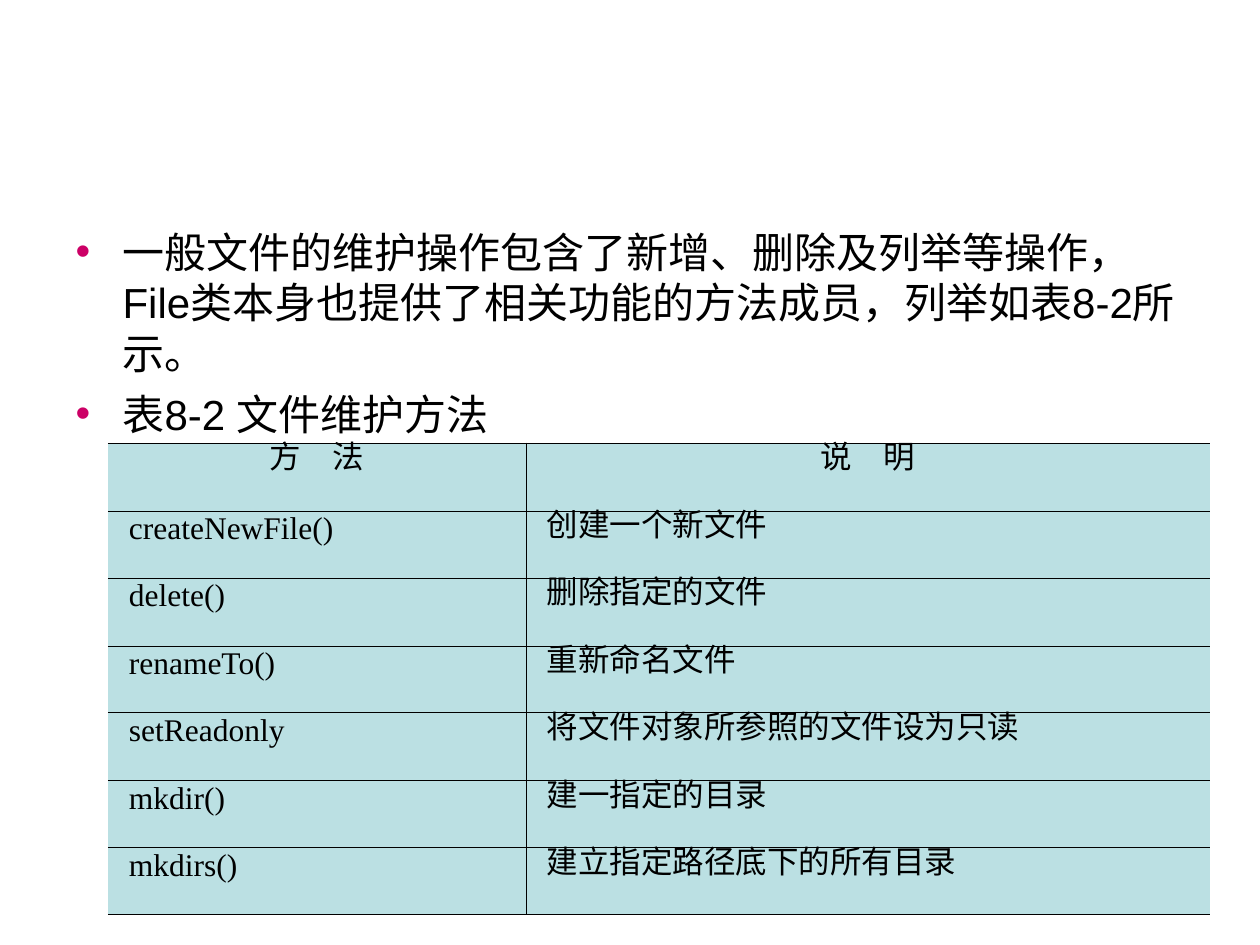
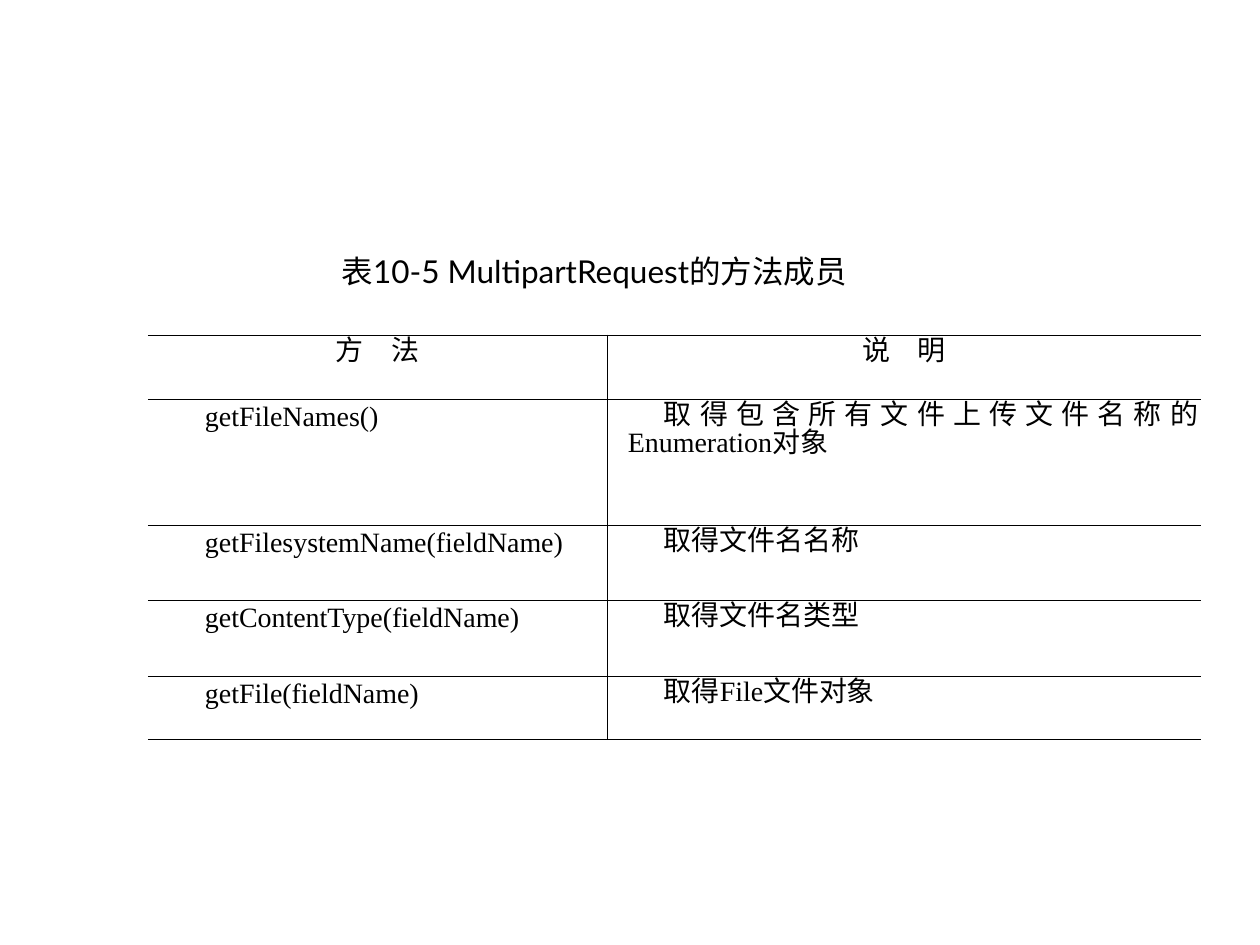
from lxml import etree
from pptx import Presentation
from pptx import util as u
from pptx.dml.color import RGBColor
from pptx.enum import text
from pptx.oxml.ns import qn

PX = u.Inches(1) / 126
BLACK = RGBColor(0x00, 0x00, 0x00)
MAGENTA = RGBColor(0xCC, 0x00, 0x66)
PALE_TEAL = RGBColor(0xBB, 0xE0, 0xE3)
SANS, SERIF, CAPTION_FONT = "Arial", "Times New Roman", "Lato"
RULE_WIDTH = u.Pt(0.45)
HEADINGS = ("方　法", "说　明")

FILE_NOTES = (
    "一般文件的维护操作包含了新增、删除及列举等操作，File类本身也提供了相关功能的方法成员，列举如表8-2所示。",
    "表8-2 文件维护方法",
)
FILE_METHODS = (
    ("createNewFile()", "创建一个新文件"),
    ("delete()", "删除指定的文件"),
    ("renameTo()", "重新命名文件"),
    ("setReadonly", "将文件对象所参照的文件设为只读"),
    ("mkdir()", "建一指定的目录"),
    ("mkdirs()", "建立指定路径底下的所有目录"),
)
REQUEST_CAPTION = "表10-5 MultipartRequest的方法成员"
REQUEST_METHODS = (
    ("getFileNames()", "取得包含所有文件上传文件名称的Enumeration对象"),
    ("getFilesystemName(fieldName)", "取得文件名名称"),
    ("getContentType(fieldName)", "取得文件名类型"),
    ("getFile(fieldName)", "取得File文件对象"),
)


def px(length):
    return u.Emu(round(length * PX))


def place(shape, box):
    shape.left, shape.top, shape.width, shape.height = map(px, box)


def add_span(para, wording, font, size):
    span = para.add_run()
    span.text = wording
    span.font.name = font
    span.font.size = u.Pt(size)
    span.font.color.rgb = BLACK


def indent(para, margin, first_line):
    props = para._p.get_or_add_pPr()
    props.set("marL", str(px(margin)))
    props.set("indent", str(px(first_line)))
    return props


def add_colour(parent, colour):
    etree.SubElement(parent, qn("a:srgbClr"), val=str(colour))


def add_bullet(props):
    add_colour(etree.SubElement(props, qn("a:buClr")), MAGENTA)
    etree.SubElement(props, qn("a:buChar"), char="•")


def rule_cell(cell, ruled_sides):
    props = cell._tc.get_or_add_tcPr()
    for position, side in enumerate("LRTB"):
        line = etree.Element(qn(f"a:ln{side}"), w=str(RULE_WIDTH))
        if side in ruled_sides:
            add_colour(etree.SubElement(line, qn("a:solidFill")), BLACK)
        else:
            etree.SubElement(line, qn("a:noFill"))
        props.insert(position, line)


def fill_cell(cell, wording, is_heading, size, line_height, first_line, fill):
    cell.margin_left = cell.margin_right = px(2)
    cell.margin_top = cell.margin_bottom = px(6)
    cell.vertical_anchor = text.MSO_ANCHOR.TOP
    if fill is None:
        cell.fill.background()
    else:
        cell.fill.solid()
        cell.fill.fore_color.rgb = fill
    para = cell.text_frame.paragraphs[0]
    para.line_spacing = u.Pt(line_height)
    if is_heading:
        para.alignment = text.PP_ALIGN.CENTER
    else:
        para.alignment = text.PP_ALIGN.JUSTIFY
        indent(para, 19, first_line)
    add_span(para, wording, SANS if is_heading else SERIF, size)


def add_method_table(page, corner, widths, heights, methods, **cell_style):
    rows = (HEADINGS, *methods)
    box = (*corner, sum(widths), sum(heights))
    table = page.shapes.add_table(len(rows), len(widths), *map(px, box)).table
    table.first_row = table.horz_banding = False
    for column, width in zip(table.columns, widths):
        column.width = px(width)
    for row, height in zip(table.rows, heights):
        row.height = px(height)
    for r, wordings in enumerate(rows):
        for c, wording in enumerate(wordings):
            cell = table.cell(r, c)
            fill_cell(cell, wording, r == 0, **cell_style)
            rule_cell(cell, "RTB" if c == 0 else "LTB")


def add_notes(body, box, notes):
    place(body, box)
    frame = body.text_frame
    frame.auto_size = text.MSO_AUTO_SIZE.NONE
    for number, note in enumerate(notes):
        para = frame.add_paragraph() if number else frame.paragraphs[0]
        para.space_before = u.Pt(6)
        add_bullet(indent(para, 47, -47))
        add_span(para, note, SANS, 24)


def add_caption(title, box, wording):
    place(title, box)
    frame = title.text_frame
    frame.auto_size = text.MSO_AUTO_SIZE.NONE
    frame.vertical_anchor = text.MSO_ANCHOR.TOP
    para = frame.paragraphs[0]
    para.alignment = text.PP_ALIGN.LEFT
    add_span(para, wording, CAPTION_FONT, 18)


def build_file_page(deck):
    page = deck.slides.add_slide(deck.slide_layouts[1])
    title = page.shapes.title
    title._element.getparent().remove(title._element)
    add_notes(page.placeholders[1], (63, 220, 1134, 624), FILE_NOTES)
    add_method_table(page, (108, 443), (418, 684), [68, 67] * 3 + [67],
                     FILE_METHODS, size=18, line_height=16.6,
                     first_line=0, fill=PALE_TEAL)


def build_request_page(deck):
    page = deck.slides.add_slide(deck.slide_layouts[5])
    add_caption(page.shapes.title, (329, 246, 567, 50), REQUEST_CAPTION)
    add_method_table(page, (148, 335), (459, 594), (64, 126, 75, 76, 63),
                     REQUEST_METHODS, size=16, line_height=16,
                     first_line=36, fill=None)


def main():
    deck = Presentation()
    deck.slide_width, deck.slide_height = px(1260), px(945)
    build_file_page(deck)
    build_request_page(deck)
    deck.save("out.pptx")


if __name__ == "__main__":
    main()
